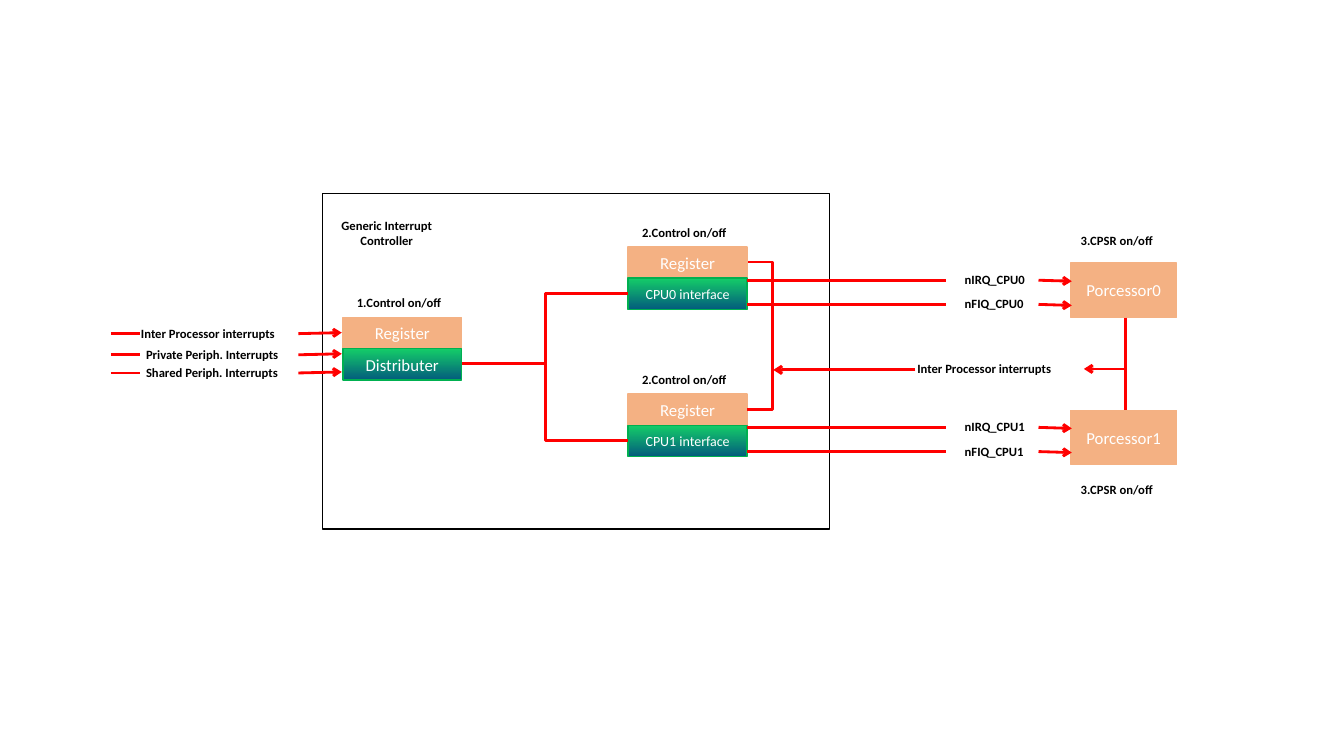
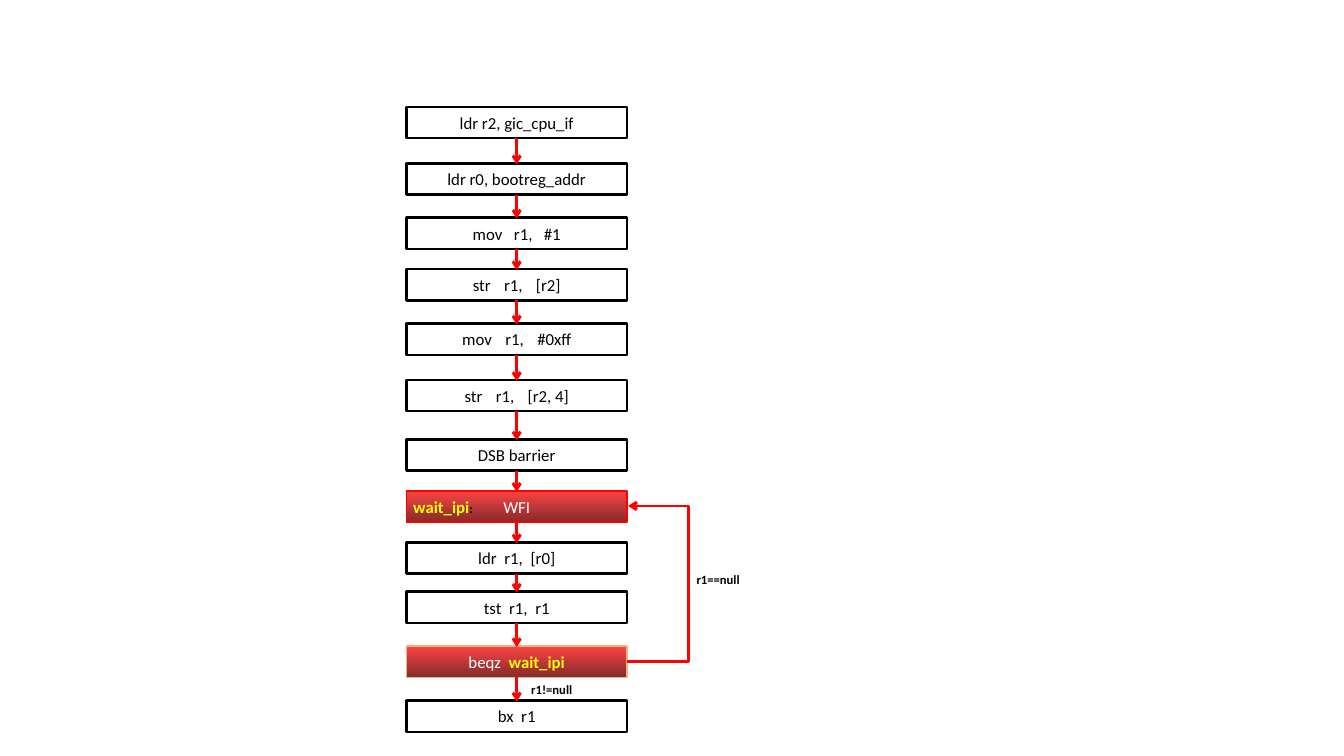
"""Build two slides: an interrupt controller diagram and a wait-for-interrupt flow."""
from dataclasses import dataclass
from itertools import pairwise

from lxml import etree
from pptx import Presentation
from pptx.dml.color import RGBColor
from pptx.enum.shapes import MSO_CONNECTOR, MSO_SHAPE
from pptx.enum.text import MSO_ANCHOR, MSO_AUTO_SIZE, PP_ALIGN
from pptx.oxml.ns import qn
from pptx.util import Inches, Pt

RECT = MSO_SHAPE.RECTANGLE
STRAIGHT, ELBOW = MSO_CONNECTOR.STRAIGHT, MSO_CONNECTOR.ELBOW
LEFT, CENTER = PP_ALIGN.LEFT, PP_ALIGN.CENTER
MIDDLE, FIT = MSO_ANCHOR.MIDDLE, MSO_AUTO_SIZE.SHAPE_TO_FIT_TEXT
COLS, ROWS = 13.33, 7.5
CELL = Inches(1)


@dataclass(frozen=True)
class Theme:
    font: str = "Calibri"
    black: str = "000000"
    white: str = "FFFFFF"
    red: str = "FF0000"
    green: str = "00B050"
    peach: str = "F4B183"
    teal: tuple = ("14CD68", "035C7D")
    crimson: tuple = ("FE4444", "832B2B")
    yellow: tuple = ("FBFB11", "838309")
    label: float = 9
    small: float = 10
    body: float = 12
    wire: float = 2


T = Theme()


@dataclass(frozen=True)
class Look:
    fill: str | tuple | None
    line: str
    width: float
    text: str


FRAME = Look(None, T.black, 1, T.black)
PLAIN = Look(None, T.black, 1.75, T.black)
SOLID = Look(T.peach, T.peach, 1, T.white)
UNIT = Look(T.teal, T.green, 1, T.white)
WAIT = Look(T.crimson, T.red, 1, T.white)
BRANCH = Look(T.crimson, T.peach, 1, T.white)


@dataclass(frozen=True)
class Block:
    x: float
    y: float
    name: str
    size: float
    label: str


@dataclass(frozen=True)
class Step:
    y: float
    words: tuple
    look: Look = PLAIN
    gap: float = 0


BLOCK_W, BLOCK_H = 1.18, 0.31
PROC_X, PROC_W, PROC_H = 10.62, 1.05, 0.54
STEP_X, STEP_W, STEP_H = 4.03, 2.19, 0.31
LABEL_H, LABEL_RISE = 0.25, 0.13
DISTRIBUTER = Block(3.4, 3.15, "Distributer", T.body, "1.Control on/off")
CPUS = [Block(6.23, 2.45 + 1.46 * i, f"CPU{i} interface", T.small, "2.Control on/off")
        for i in range(2)]
INPUTS = [(1.3, 3.31, "Inter Processor interrupts"),
          (1.35, 3.52, "Private Periph. Interrupts"),
          (1.35, 3.7, "Shared Periph. Interrupts")]
STEPS = [
    Step(1.06, ("ldr r2, gic_cpu_if",)),
    Step(1.62, ("ldr r0, bootreg_addr",)),
    Step(2.16, ("mov", "r1,", "#1"), gap=5.4),
    Step(2.67, ("str", "r1,", "[r2]"), gap=6.8),
    Step(3.21, ("mov", "r1,", "#0xff"), gap=6.8),
    Step(3.77, ("str", "r1,", "[r2, 4]"), gap=6.8),
    Step(4.36, ("DSB barrier",)),
    Step(4.87, ("WFI",), WAIT),
    Step(5.38, ("ldr", "r1,", "[r0]"), gap=2.7),
    Step(5.87, ("tst", "r1,", "r1"), gap=2.7),
    Step(6.41, ("beqz", "wait_ipi"), BRANCH, 2.7),
    Step(6.95, ("bx", "r1"), gap=2.7),
]


def grid(*cells: float) -> list[int]:
    """Turn grid cells into slide lengths."""
    return [round(c * CELL) for c in cells]


def paint(fill, color: str | tuple | None) -> None:
    """Give a fill no colour, one colour or a top-down gradient."""
    if color is None:
        fill.background()
    elif isinstance(color, tuple):
        fill.gradient()
        fill.gradient_angle = 270
        for stop, shade in zip(fill.gradient_stops, color):
            stop.color.rgb = RGBColor.from_string(shade)
    else:
        fill.solid()
        fill.fore_color.rgb = RGBColor.from_string(color)


def write(p, text: str, *, size: float, color: str | tuple = T.black,
          bold: bool = False, spacing: float = 0) -> None:
    """Add one formatted run to a paragraph."""
    r = p.add_run()
    r.text = text
    r.font.name, r.font.size, r.font.bold = T.font, Pt(size), bold
    paint(r.font.fill, color)
    if spacing:
        r.font._element.set("spc", str(round(spacing * 100)))


def box(s, x: float, y: float, w: float, h: float, look: Look, text: str = "",
        size: float = T.body):
    """Draw a rectangle and return its centred paragraph."""
    sp = s.shapes.add_shape(RECT, *grid(x, y, w, h))
    sp.shadow.inherit = False
    paint(sp.fill, look.fill)
    paint(sp.line.fill, look.line)
    sp.line.width = Pt(look.width)
    tf = sp.text_frame
    tf.vertical_anchor = MIDDLE
    p = tf.paragraphs[0]
    p.alignment = CENTER
    if text:
        write(p, text, size=size, color=look.text)
    return p


def label(s, x: float, y: float, w: float, *lines: str, align=LEFT):
    """Draw a bold label and return its last paragraph."""
    sp = s.shapes.add_textbox(*grid(x, y, w, LABEL_H))
    tf = sp.text_frame
    tf.word_wrap, tf.auto_size = True, FIT
    p = tf.paragraphs[0]
    for i, text in enumerate(lines):
        p = tf.add_paragraph() if i else p
        p.alignment = align
        write(p, text, size=T.label, bold=True)
    return p


def wire(s, x1: float, y1: float, x2: float, y2: float, *, arrow: bool = False,
         via: float | None = None) -> None:
    """Draw a red line, bent at column via when one is given."""
    kind = STRAIGHT if via is None else ELBOW
    c = s.shapes.add_connector(kind, *grid(x1, y1, x2, y2))
    paint(c.line.fill, T.red)
    c.line.width = Pt(T.wire)
    sp_pr = c.element.spPr
    if arrow:
        etree.SubElement(sp_pr.find(qn("a:ln")), qn("a:tailEnd"), type="arrow")
    if via is not None:
        bend = round((via - x1) / (x2 - x1) * 100000)
        guides = sp_pr.find(qn("a:prstGeom")).find(qn("a:avLst"))
        etree.SubElement(guides, qn("a:gd"), name="adj1", fmla=f"val {bend}")
    etree.SubElement(sp_pr, qn("a:effectLst"))


def draw_block(s, b: Block) -> None:
    """Draw a register stacked on its unit, with a control label."""
    box(s, b.x, b.y, BLOCK_W, BLOCK_H, SOLID, "Register")
    box(s, b.x, b.y + BLOCK_H, BLOCK_W, BLOCK_H, UNIT, b.name, b.size)
    label(s, b.x + 0.04, b.y - 0.27, 1.21, b.label)


def draw_cpu(s, i: int, b: Block) -> None:
    """Draw a CPU interface, its two signals and its processor."""
    draw_block(s, b)
    wire(s, DISTRIBUTER.x + BLOCK_W, 3.61, b.x, b.y + 0.46, via=5.41)
    proc_y = b.y + 0.16
    box(s, PROC_X, proc_y, PROC_W, PROC_H, SOLID, f"Porcessor{i}")
    label(s, PROC_X, proc_y + (0.66 if i else -0.35), 1.21, "3.CPSR on/off")
    for j, signal in enumerate(("nIRQ", "nFIQ")):
        y = b.y + 0.33 + 0.24 * j
        wire(s, b.x + BLOCK_W, y, 9.38, y)
        label(s, 9.47, y - LABEL_RISE, 0.9, f"{signal}_CPU{i}")
        wire(s, 10.3, y, 10.63, y + 0.01, arrow=True)


def controller_slide(prs) -> None:
    """Draw the interrupt controller and its processors."""
    s = prs.slides.add_slide(prs.slide_layouts[6])
    box(s, 3.2, 1.92, 5.03, 3.33, FRAME)
    label(s, 3.15, 2.11, 1.37, "Generic Interrupt", "Controller", align=CENTER)
    draw_block(s, DISTRIBUTER)
    for x, y, text in INPUTS:
        wire(s, 1.1, y, 1.39, y)
        label(s, x, y - LABEL_RISE, 1.78, text)
        wire(s, 2.96, y, 3.39, y - 0.01, arrow=True)
    for i, b in enumerate(CPUS):
        draw_cpu(s, i, b)
    first, last = CPUS
    edge = first.x + BLOCK_W
    wire(s, edge, last.y + 0.15, edge + 0.01, first.y + 0.15, via=7.67)
    wire(s, 9.08, 3.67, 7.67, 3.67, arrow=True)
    label(s, 9, 3.53, 1.75, "Inter Processor interrupts")
    wire(s, 11.16, 3.15, 11.16, 4.07)
    wire(s, 11.16, 3.66, 10.75, 3.66, arrow=True)


def flow_slide(prs) -> None:
    """Draw the instruction flow with its waiting loop."""
    s = prs.slides.add_slide(prs.slide_layouts[6])
    for step in STEPS:
        p = box(s, STEP_X, step.y, STEP_W, STEP_H, step.look)
        for i, word in enumerate(step.words):
            if i:
                write(p, " ", size=T.body, spacing=step.gap)
            target = word == "wait_ipi"
            write(p, word, size=T.body, bold=target,
                  color=T.yellow if target else step.look.text)
    middle = STEP_X + STEP_W / 2
    for a, b in pairwise(STEPS):
        wire(s, middle, a.y + STEP_H, middle, b.y + 0.01, arrow=True)
    wait, branch = (next(st for st in STEPS if st.look is k) for k in (WAIT, BRANCH))
    p = label(s, 4, wait.y + 0.01, 1.08)
    write(p, "wait_ipi", size=T.body, color=T.yellow, bold=True)
    write(p, ":", size=T.label, bold=True)
    edge = STEP_X + STEP_W
    wire(s, edge, branch.y + 0.15, edge + 0.01, wait.y + 0.15, via=6.84, arrow=True)
    label(s, 6.81, 5.62, 0.79, "r1==null")
    label(s, 5.17, 6.72, 0.79, "r1!=null")


def main() -> None:
    """Build and save the presentation."""
    prs = Presentation()
    prs.slide_width, prs.slide_height = grid(COLS, ROWS)
    controller_slide(prs)
    flow_slide(prs)
    prs.save("out.pptx")


main()
